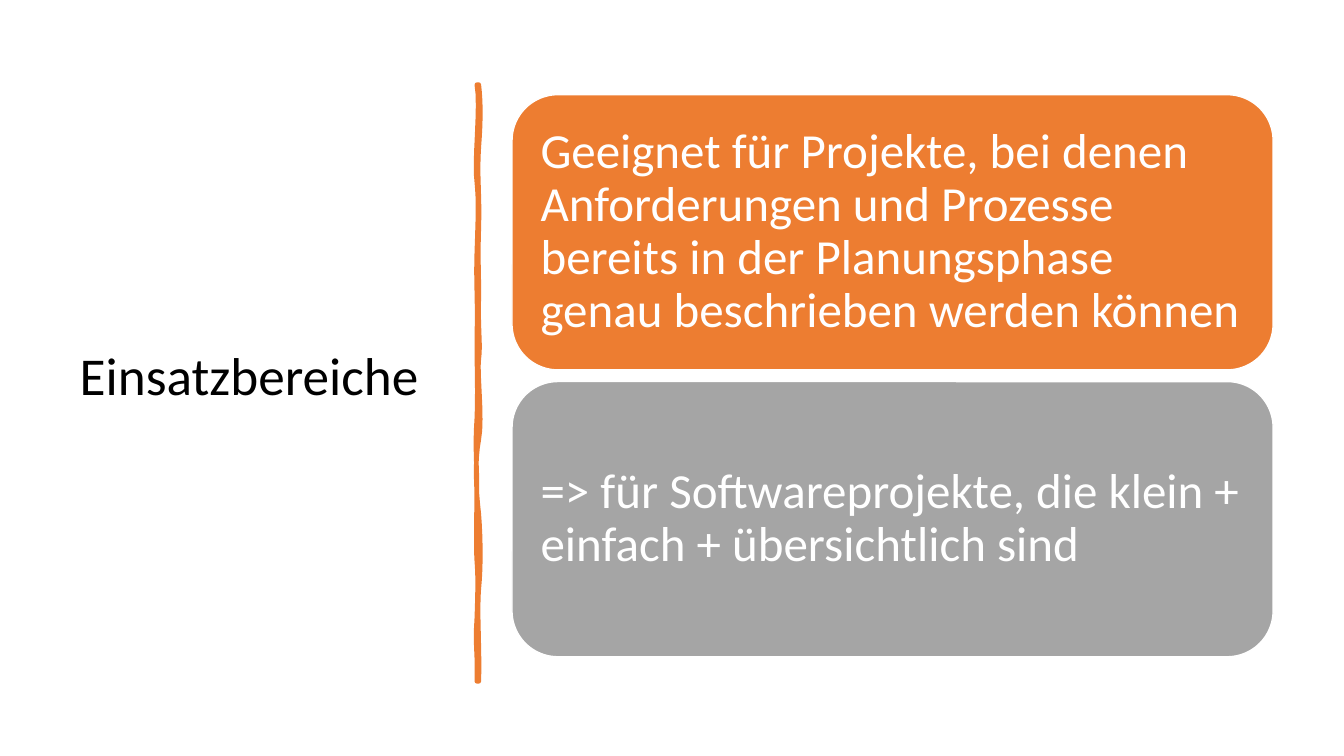
"""Build the slide "Einsatzbereiche": a title, a hand-drawn divider and two cards."""
from typing import NamedTuple

from lxml.etree import SubElement
from pptx import Presentation
from pptx.dml.color import RGBColor
from pptx.enum.shapes import MSO_SHAPE
from pptx.enum.text import MSO_ANCHOR, MSO_AUTO_SIZE, PP_ALIGN
from pptx.oxml.ns import qn
from pptx.util import Inches, Pt

WIDTH, HEIGHT = Inches(13.333), Inches(7.5)
COLOURS = {"text": "000000", "paper": "FFFFFF", "orange": "ED7D31", "grey": "A5A5A5"}
FONT = "Calibri"
CARD_LEFT, CARD_TOP, CARD_WIDTH, CARD_HEIGHT, CARD_PITCH = 38.1, 12.53, 56.63, 36.4, 37.95
DIVIDER_TOP, DIVIDER_BOTTOM = 11.2, 90.13
CURVE_STEPS = 8


class Card(NamedTuple):
    text: str
    colour: str


class Wave(NamedTuple):
    first_swing: float
    first_y: float
    second_swing: float
    second_y: float
    end_y: float


CARDS = [
    Card("Geeignet für Projekte, bei denen Anforderungen und Prozesse bereits "
         "in der Planungsphase genau beschrieben werden können", "orange"),
    Card("=> für Softwareprojekte, die klein + einfach + übersichtlich sind", "grey"),
]
RIGHT_EDGE, LEFT_EDGE = 35.63, 35.48
RIGHT_WAVES = [
    Wave(0.15, 13.6, 0.15, 15.87, 19.47),
    Wave(-0.15, 23.07, 0.08, 26, 30.13),
    Wave(-0.08, 34.27, 0, 34.93, 39.2),
    Wave(-0.08, 43.33, 0.15, 45.6, 47.47),
    Wave(-0.15, 49.33, 0.3, 55.2, 58.13),
    Wave(-0.3, 60.93, -0.23, 64.53, 68),
    Wave(0.15, 71.47, 0.15, 75.2, 77.87),
    Wave(-0.15, 80.4, 0.08, 86.67, 90.13),
]
LEFT_WAVES = [
    Wave(0.08, 86.13, -0.15, 85.87, 81.73),
    Wave(0.08, 77.73, 0.08, 76, 74.27),
    Wave(-0.08, 72.53, 0, 66, 63.6),
    Wave(0, 61.2, -0.15, 59.33, 55.33),
    Wave(0.08, 51.47, 0, 49.73, 44.67),
    Wave(0.08, 39.73, -0.08, 37.47, 33.33),
    Wave(0.08, 29.07, 0.15, 26.67, 24.13),
    Wave(-0.23, 21.73, 0.3, 13.87, 11.2),
]


def across(share: float) -> int:
    return round(WIDTH * share / 100)


def down(share: float) -> int:
    return round(HEIGHT * share / 100)


def write_text(frame, text: str, *, size: float, colour: str, space_after: float = 0) -> None:
    frame.word_wrap = True
    frame.auto_size = MSO_AUTO_SIZE.NONE
    frame.vertical_anchor = MSO_ANCHOR.MIDDLE
    para = frame.paragraphs[0]
    para.alignment = PP_ALIGN.LEFT
    para.line_spacing = 0.9
    para.space_after = Pt(space_after)
    span = para.add_run()
    span.text = text
    span.font.name = FONT
    span.font.size = Pt(size)
    span.font.color.rgb = RGBColor.from_string(COLOURS[colour])


def paint(shape, *, fill: str, line: str, width: float) -> None:
    shape.shadow.inherit = False
    shape.fill.solid()
    shape.fill.fore_color.rgb = RGBColor.from_string(COLOURS[fill])
    shape.line.color.rgb = RGBColor.from_string(COLOURS[line])
    shape.line.width = Pt(width)


def trace_edge(edge: float, start_y: float, waves: list[Wave]) -> list[tuple[int, int]]:
    points = [(across(edge), down(start_y))]
    for wave in waves:
        for step in range(1, CURVE_STEPS + 1):
            t = step / CURVE_STEPS
            first, second = 3 * t * (1 - t) ** 2, 3 * t ** 2 * (1 - t)
            x = edge + first * wave.first_swing + second * wave.second_swing
            y = ((1 - t) ** 3 * start_y + first * wave.first_y
                 + second * wave.second_y + t ** 3 * wave.end_y)
            points.append((across(x), down(y)))
        start_y = wave.end_y
    return points


def add_divider(page) -> None:
    points = (trace_edge(RIGHT_EDGE, DIVIDER_TOP, RIGHT_WAVES)
              + trace_edge(LEFT_EDGE, DIVIDER_BOTTOM, LEFT_WAVES))
    builder = page.shapes.build_freeform(*points[0])
    builder.add_line_segments(points[1:], close=True)
    divider = builder.convert_to_shape()
    paint(divider, fill="orange", line="orange", width=3.25)
    SubElement(divider.line._get_or_add_ln(), qn("a:round"))


def add_card(page, card: Card, row: int) -> None:
    box = page.shapes.add_shape(
        MSO_SHAPE.ROUNDED_RECTANGLE, across(CARD_LEFT), down(CARD_TOP + row * CARD_PITCH),
        across(CARD_WIDTH), down(CARD_HEIGHT))
    paint(box, fill=card.colour, line="paper", width=1)
    frame = box.text_frame
    frame.margin_left = frame.margin_right = Inches(0.15)
    frame.margin_top = frame.margin_bottom = Inches(0.15)
    write_text(frame, card.text, size=35, colour="paper", space_after=12)


def main() -> None:
    deck = Presentation()
    deck.slide_width, deck.slide_height = WIDTH, HEIGHT
    page = deck.slides.add_slide(deck.slide_layouts[5])
    title = page.shapes.title
    title.left, title.top = across(5.18), down(9.33)
    title.width, title.height = across(28.05), down(81.47)
    write_text(title.text_frame, "Einsatzbereiche", size=38, colour="text")
    add_divider(page)
    for row, card in enumerate(CARDS):
        add_card(page, card, row)
    deck.save("out.pptx")


if __name__ == "__main__":
    main()
